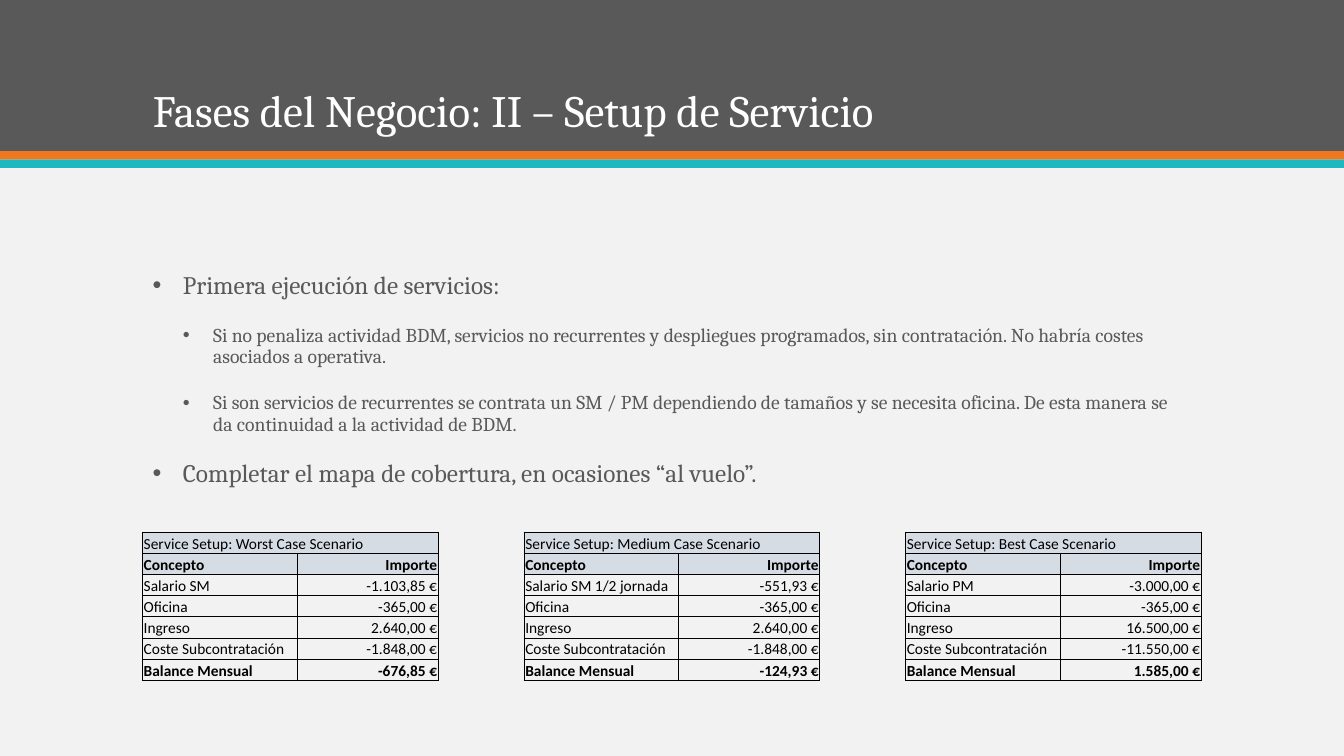
import dataclasses

import lxml.etree
import pptx
import pptx.dml.color
import pptx.enum.shapes
import pptx.enum.text
import pptx.oxml.ns
import pptx.util

Pt = pptx.util.Pt
qn = pptx.oxml.ns.qn
RIGHT = pptx.enum.text.PP_ALIGN.RIGHT


@dataclasses.dataclass(frozen=True)
class Theme:
    """Colours, fonts and type sizes of the slide."""
    paper: str = "F2F2F2"
    grey: str = "595959"
    orange: str = "EF7920"
    teal: str = "1EB8C1"
    white: str = "FFFFFF"
    black: str = "000000"
    heading_fill: str = "D6DCE4"
    text_font: str = "Cambria"
    table_font: str = "Calibri"
    title_size: int = 32
    bullet_sizes: tuple = (18, 14)
    table_size: int = 11


theme = Theme()


def style_font(font, name, size, color, bold=False):
    """Set the typeface, size, colour and weight of a font."""
    font.name = name
    font.size = Pt(size)
    font.bold = bold
    font.color.rgb = pptx.dml.color.RGBColor.from_string(color)


def add_border(cell, side, width):
    """Draw one solid border (L, R, T or B) of a table cell."""
    line = lxml.etree.SubElement(
        cell._tc.get_or_add_tcPr(), qn(f"a:ln{side}"), w=str(Pt(width)))
    fill = lxml.etree.SubElement(line, qn("a:solidFill"))
    lxml.etree.SubElement(fill, qn("a:srgbClr"), val=theme.black)


deck = pptx.Presentation()
deck.slide_width, deck.slide_height = Pt(960), Pt(540)
page = deck.slides.add_slide(deck.slide_layouts.get_by_name("Title Only"))
page.background.fill.solid()
page.background.fill.fore_color.rgb = pptx.dml.color.RGBColor.from_string(theme.paper)

# Header band and its two stripes
for top, height, color in [(0, 108, theme.grey), (108, 6, theme.orange), (114, 6, theme.teal)]:
    band = page.shapes.add_shape(
        pptx.enum.shapes.MSO_SHAPE.RECTANGLE, 0, Pt(top), deck.slide_width, Pt(height))
    band.shadow.inherit = False
    band.fill.solid()
    band.fill.fore_color.rgb = pptx.dml.color.RGBColor.from_string(color)
    band.line.fill.background()

# Title, brought in front of the header band
title = page.shapes.title
title._element.getparent().append(title._element)
title.left, title.top, title.width, title.height = Pt(102), Pt(20), Pt(756), Pt(81.5)
title.text_frame.text = "Fases del Negocio: II – Setup de Servicio"
title.text_frame.vertical_anchor = pptx.enum.text.MSO_ANCHOR.BOTTOM
title.text_frame.auto_size = pptx.enum.text.MSO_AUTO_SIZE.NONE
heading = title.text_frame.paragraphs[0]
heading.alignment = pptx.enum.text.PP_ALIGN.LEFT
heading.line_spacing = 0.9
style_font(heading.font, theme.text_font, theme.title_size, theme.white)

# Bulleted text
bullets = [
    (0, "Primera ejecución de servicios:"),
    (1, "Si no penaliza actividad BDM, servicios no recurrentes y despliegues programados, "
        "sin contratación. No habría costes asociados a operativa."),
    (1, "Si son servicios de recurrentes se contrata un SM / PM dependiendo de tamaños y se "
        "necesita oficina. De esta manera se da continuidad a la actividad de BDM."),
    (0, "Completar el mapa de cobertura, en ocasiones “al vuelo”."),
]
indent = Pt(21.6)
body = page.shapes.add_textbox(Pt(102), Pt(191.4), Pt(756), Pt(180))
body.text_frame.word_wrap = True
for number, (level, text) in enumerate(bullets):
    para = body.text_frame.paragraphs[0] if number == 0 else body.text_frame.add_paragraph()
    para.text = text
    para.level = level
    para.line_spacing = 0.9
    para.space_before = Pt(18 if number else 0)
    style_font(para.font, theme.text_font, theme.bullet_sizes[level], theme.grey)
    properties = para._p.get_or_add_pPr()
    properties.set("marL", str(indent * (level + 1)))
    properties.set("indent", str(-indent))
    marker_font = lxml.etree.Element(qn("a:buFont"), typeface="Arial")
    marker = lxml.etree.Element(qn("a:buChar"), char="•")
    properties.find(qn("a:defRPr")).addprevious(marker_font)
    marker_font.addnext(marker)

# One table per scenario: name, staff concept, then the amounts in row order
concepts = ["Oficina", "Ingreso", "Coste Subcontratación", "Balance Mensual"]
scenarios = [
    ("Worst", "Salario SM", ["-1.103,85", "-365,00", "2.640,00", "-1.848,00", "-676,85"]),
    ("Medium", "Salario SM 1/2 jornada",
     ["-551,93", "-365,00", "2.640,00", "-1.848,00", "-124,93"]),
    ("Best", "Salario PM", ["-3.000,00", "-365,00", "16.500,00", "-11.550,00", "1.585,00"]),
]
column_widths = [110.2, 100.8]
row_heights = [15.1] * 6 + [15.6]
for position, (name, staff, amounts) in enumerate(scenarios):
    rows = [(f"Service Setup: {name} Case Scenario", ""), ("Concepto", "Importe")]
    rows += [(concept, f"{amount} €") for concept, amount in zip([staff] + concepts, amounts)]
    last = len(rows) - 1
    frame = page.shapes.add_table(
        len(rows), 2, Pt(102 + 272.5 * position), Pt(380.2),
        Pt(sum(column_widths)), Pt(sum(row_heights)))
    table = frame.table
    table.first_row = table.horz_banding = False
    for column, width in zip(table.columns, column_widths):
        column.width = Pt(width)
    for row, height in zip(table.rows, row_heights):
        row.height = Pt(height)
    table.cell(0, 0).merge(table.cell(0, 1))

    for r, texts in enumerate(rows):
        for c, text in enumerate(texts):
            cell = table.cell(r, c)
            cell.text = text
            cell.vertical_anchor = pptx.enum.text.MSO_ANCHOR.BOTTOM
            cell.margin_left = cell.margin_right = cell.margin_top = Pt(0.7)
            cell.margin_bottom = 0
            para = cell.text_frame.paragraphs[0]
            if c == 1:
                para.alignment = RIGHT
            style_font(para.font, theme.table_font, theme.table_size, theme.black,
                       bold=r in (1, last))
            outer_edges = {"L": c == 0, "R": c == 1 or r == 0, "T": r == 0, "B": r == last}
            for side, is_outer in outer_edges.items():
                add_border(cell, side, 1 if is_outer else 0.5)
            if r < 2:
                cell.fill.solid()
                cell.fill.fore_color.rgb = pptx.dml.color.RGBColor.from_string(
                    theme.heading_fill)
            else:
                cell.fill.background()

deck.save("out.pptx")
